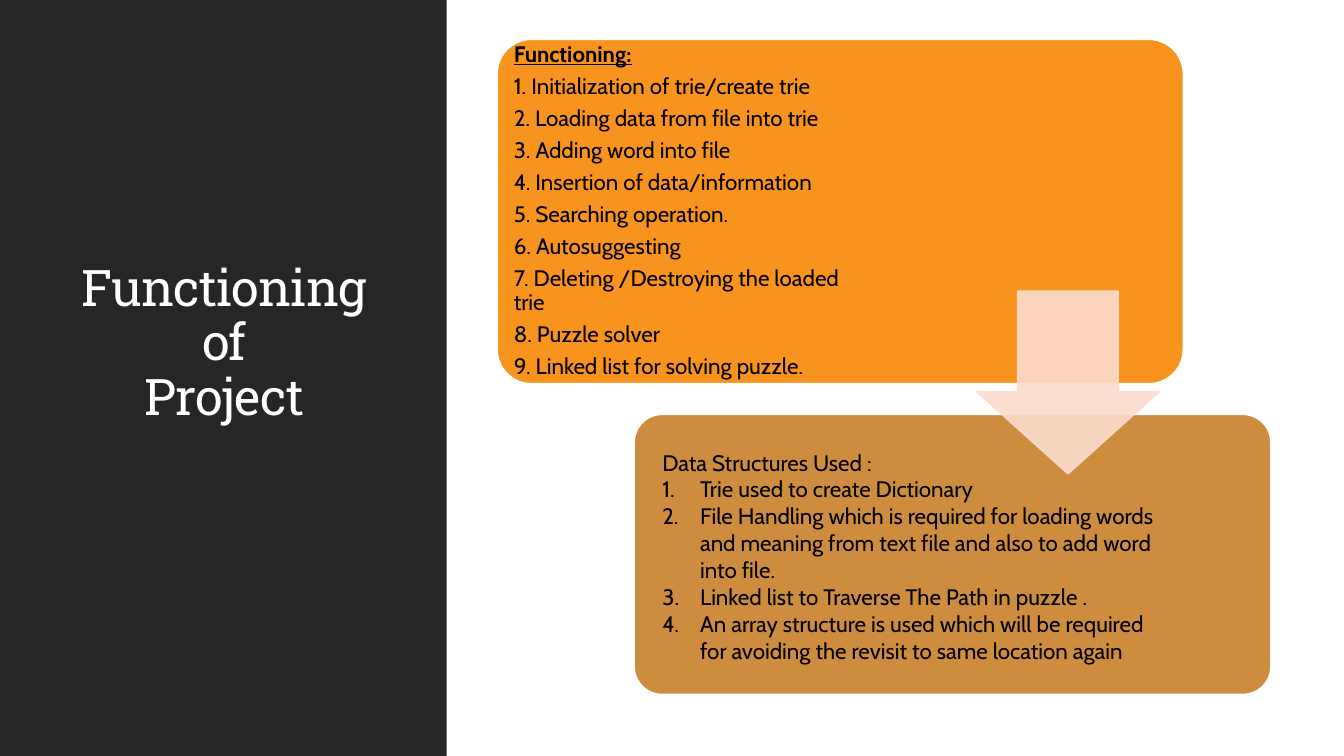
from lxml import etree
from pptx import Presentation, util as u
from pptx.dml.color import RGBColor
from pptx.enum import shapes, text
from pptx.oxml import ns

DARK = RGBColor(0x26, 0x26, 0x26)
WHITE = RGBColor(0xFF, 0xFF, 0xFF)
BLACK = RGBColor(0, 0, 0)
ORANGE = RGBColor(0xF8, 0x93, 0x1D)
BROWN = RGBColor(0xCE, 0x8D, 0x3E)
PEACH = RGBColor(0xFC, 0xDC, 0xCD)

FUNCTIONS = [
    "Initialization of trie/create trie",
    "Loading data from file into trie",
    "Adding word into file",
    "Insertion of data/information",
    "Searching operation.",
    "Autosuggesting",
    "Deleting /Destroying the loaded trie",
    "Puzzle solver",
    "Linked list for solving puzzle.",
]
STRUCTURES = [
    "Trie used to create Dictionary",
    "File Handling which is required for loading words and meaning "
    "from text file and also to add word into file.",
    "Linked list to Traverse The Path in puzzle .",
    "An array structure is used which will be required for avoiding "
    "the revisit to same location again",
]


class SlideBuilder:
    """Holds the slide and its text style."""

    title_font, body_font = "Roboto Slab", "Cabin"
    title_size, body_size = 36, 16
    line_width = 1.25

    def __init__(self, slide):
        self.slide = slide

    def shape(self, kind, box, fill, line=None, adjustments=(), alpha=None):
        item = self.slide.shapes.add_shape(kind, *map(u.Pt, box))
        item.shadow.inherit = False
        item.fill.solid()
        item.fill.fore_color.rgb = fill
        if line is None:
            item.line.fill.background()
        else:
            item.line.color.rgb = line
            item.line.width = u.Pt(self.line_width)
        for index, value in enumerate(adjustments):
            item.adjustments[index] = value
        if alpha is not None:
            for color in item._element.spPr.iter(ns.qn("a:srgbClr")):
                etree.SubElement(color, ns.qn("a:alpha"), val=str(alpha * 1000))
        return item

    def text_frame(self, box, anchor, insets=(7.2, 3.6, 7.2, 3.6)):
        frame = self.slide.shapes.add_textbox(*map(u.Pt, box)).text_frame
        frame.word_wrap = True
        frame.vertical_anchor = anchor
        (frame.margin_left, frame.margin_top,
         frame.margin_right, frame.margin_bottom) = map(u.Pt, insets)
        return frame

    def run(self, paragraph, words, font, size, color):
        run = paragraph.add_run()
        run.text = words
        run.font.name, run.font.size = font, u.Pt(size)
        run.font.color.rgb = color
        return run

    def title(self, box, lines, insets):
        frame = self.text_frame(box, text.MSO_ANCHOR.MIDDLE, insets)
        paragraph = frame.paragraphs[0]
        paragraph.alignment = text.PP_ALIGN.CENTER
        paragraph.line_spacing = 0.9
        for index, line in enumerate(lines):
            if index:
                paragraph.add_line_break()
            run = self.run(paragraph, line, self.title_font, self.title_size, WHITE)
            run.font._element.set("spc", "-50")

    def body(self, frame, words, first=False, spacing=1.0, after=0, numbered=False):
        paragraph = frame.paragraphs[0] if first else frame.add_paragraph()
        paragraph.line_spacing = spacing
        paragraph.space_after = u.Pt(after)
        if numbered:
            properties = paragraph._p.get_or_add_pPr()
            properties.set("marL", str(u.Pt(27)))
            properties.set("indent", str(u.Pt(-27)))
            etree.SubElement(properties, ns.qn("a:buAutoNum"), type="arabicPeriod")
        return self.run(paragraph, words, self.body_font, self.body_size, BLACK)


def main():
    deck = Presentation()
    deck.slide_width, deck.slide_height = u.Pt(960), u.Pt(540)
    builder = SlideBuilder(deck.slides.add_slide(deck.slide_layouts[6]))
    kinds = shapes.MSO_SHAPE

    # Title panel
    builder.shape(kinds.RECTANGLE, (0, 0, 319, 540), DARK)
    builder.title((39, 41, 242.6, 454.3), ["Functioning", "of", "Project"],
                  (7.2, 3.6, 7.2, 47.5))

    # Functioning card
    builder.shape(kinds.ROUNDED_RECTANGLE, (355, 28, 490.3, 246.2), ORANGE, WHITE, [0.1])
    functioning = builder.text_frame((362, 35, 265.7, 231.8),
                                     text.MSO_ANCHOR.MIDDLE, (5, 5, 5, 5))
    list_style = {"spacing": 0.9, "after": 5.6}
    heading = builder.body(functioning, "Functioning:", first=True, **list_style)
    heading.font.bold = heading.font.underline = True
    for number, function in enumerate(FUNCTIONS, 1):
        builder.body(functioning, f"{number}. {function}", **list_style)

    # Data structures card, with the arrow leading to it
    builder.shape(kinds.ROUNDED_RECTANGLE, (452.9, 295.9, 455, 200.2), BROWN, WHITE, [0.1])
    builder.shape(kinds.DOWN_ARROW, (697.7, 208.1, 130.3, 130.3), PEACH, PEACH,
                  [0.55, 0.45], alpha=90)
    structures = builder.text_frame((466, 317, 367.2, 184.3), text.MSO_ANCHOR.TOP)
    builder.body(structures, "Data Structures Used :", first=True)
    for structure in STRUCTURES:
        builder.body(structures, structure, numbered=True)

    deck.save("out.pptx")


if __name__ == "__main__":
    main()
